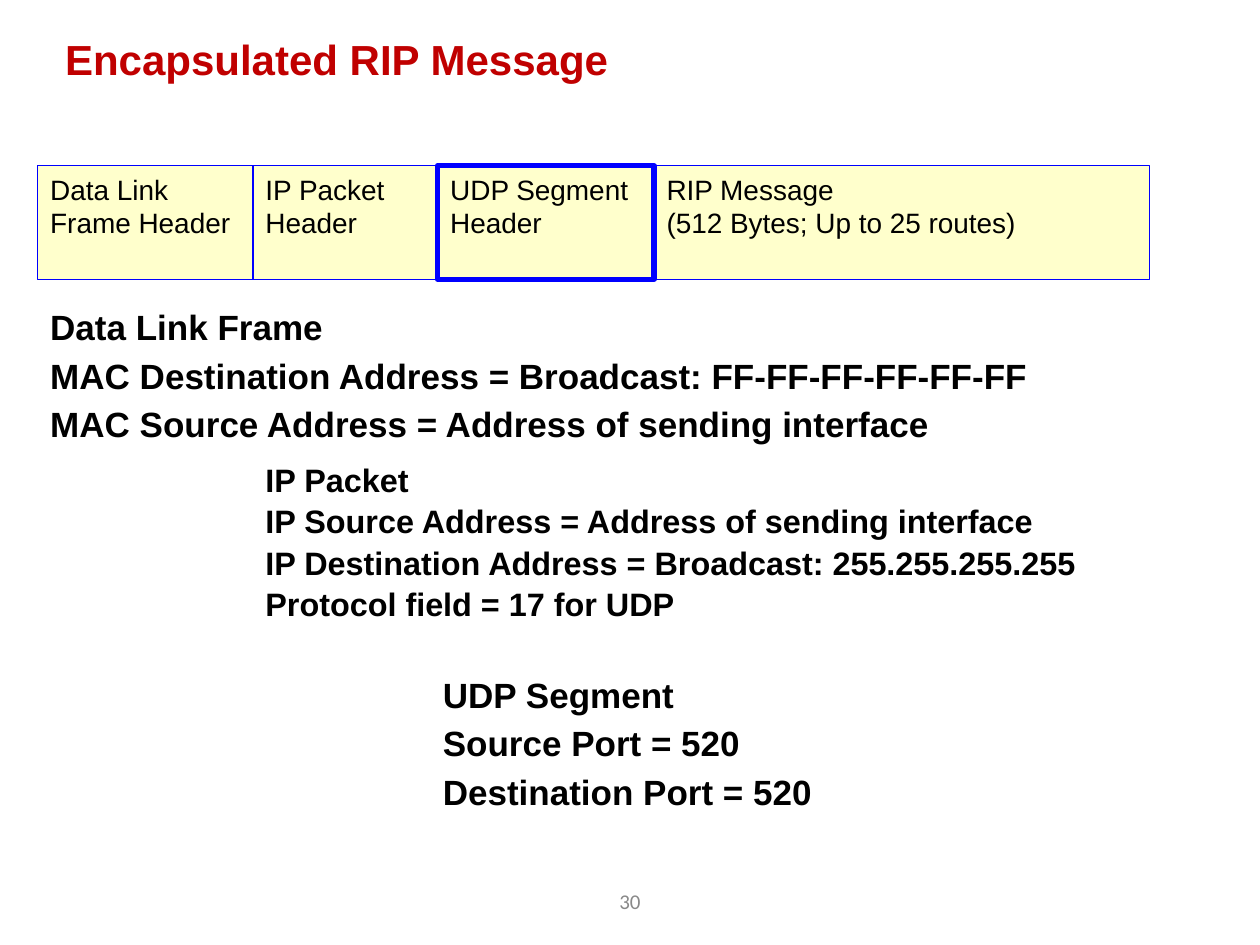
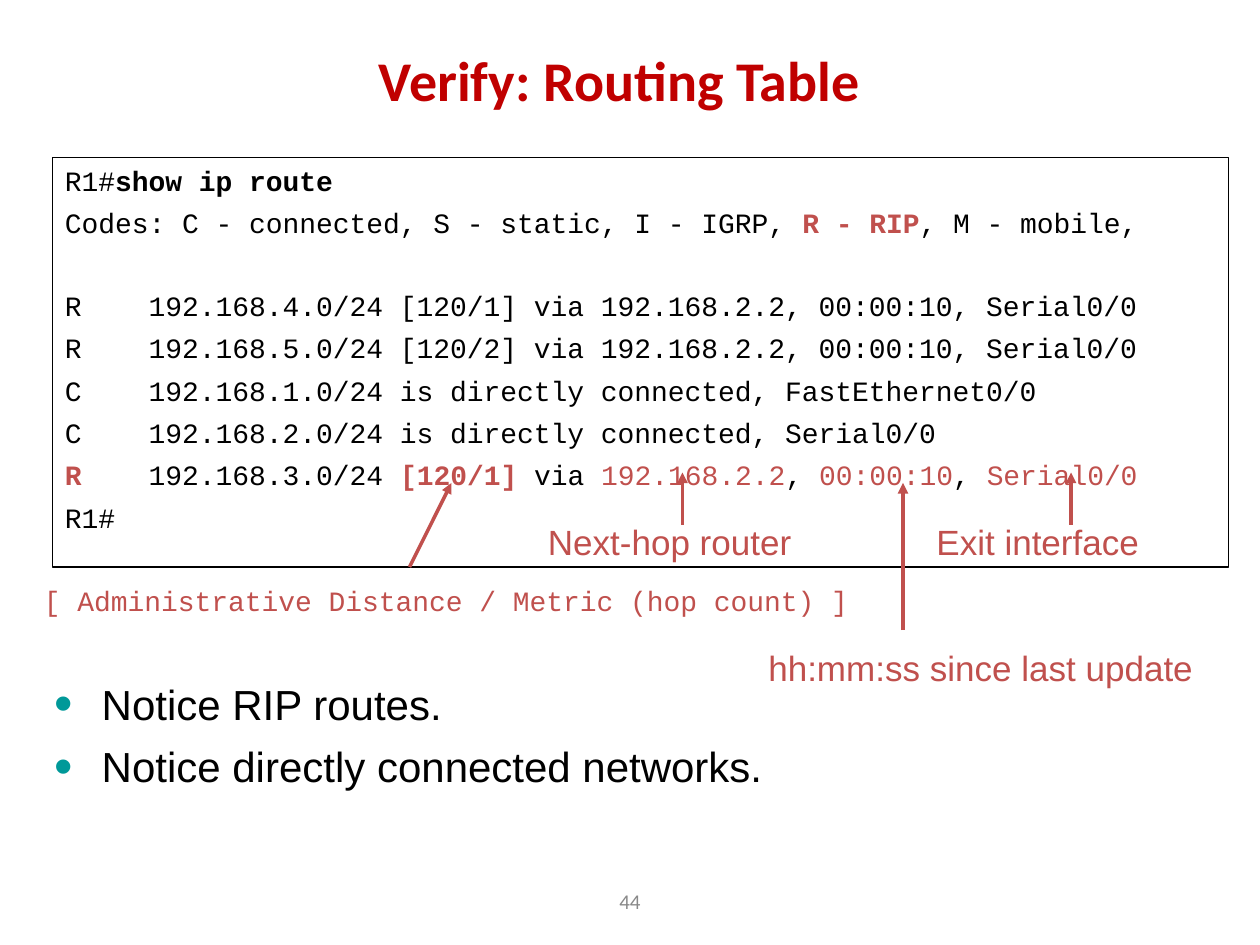
from dataclasses import dataclass, replace

import pptx
import pptx.dml.color
import pptx.enum.shapes
import pptx.enum.text
import pptx.oxml
import pptx.oxml.ns
import pptx.util

PX = 7620
Align = pptx.enum.text.PP_ALIGN
Anchor = pptx.enum.text.MSO_ANCHOR


@dataclass(frozen=True)
class Style:
    font: str
    size: float
    color: str
    bold: bool = False
    align: Align = Align.LEFT
    anchor: Anchor = Anchor.TOP
    leading: float = 1.0
    gap: float = 0
    bullet: str = ""


@dataclass(frozen=True)
class Theme:
    accent: str = "C0504D"
    black: str = "000000"
    field_fill: str = "FFFFCC"
    field_line: str = "0000FF"
    bullet: str = "009999"
    title: Style = Style("Arial", 24, "C00000", bold=True)
    big_title: Style = Style("Calibri", 32, "C00000", bold=True,
                             align=Align.CENTER, anchor=Anchor.MIDDLE)
    number: Style = Style("Calibri", 12, "898989",
                          align=Align.CENTER, anchor=Anchor.MIDDLE)
    field: Style = Style("Arial", 16, black)
    details: Style = Style("Arial", 20, black, bold=True, leading=0.9, gap=6)
    tight: Style = Style("Arial", 18.5, black, bold=True, leading=0.8, gap=6)
    code: Style = Style("Courier New", 16, black, gap=5)
    code_note: Style = Style("Courier New", 16, accent)
    note: Style = Style("Arial", 20, accent)
    bullets: Style = Style("Arial", 24, black, gap=7, bullet="•")


THEME = Theme()


@dataclass(frozen=True)
class Box:
    x: int
    y: int
    w: int
    h: int

    def emu(self) -> tuple[int, ...]:
        return tuple(v * PX for v in (self.x, self.y, self.w, self.h))


@dataclass(frozen=True)
class Span:
    text: str
    color: str | None = None
    bold: bool | None = None


@dataclass(frozen=True)
class Line:
    spans: tuple[Span, ...]
    gap: float | None = None


@dataclass(frozen=True)
class TextBlock:
    box: Box
    style: Style
    lines: tuple[str | Line, ...]


@dataclass(frozen=True)
class Field:
    text: str
    width: int
    line_width: float = 0.75


@dataclass(frozen=True)
class Arrow:
    x1: int
    y1: int
    x2: int
    y2: int


def rgb(color: str) -> pptx.dml.color.RGBColor:
    return pptx.dml.color.RGBColor.from_string(color)


def add_xml(parent, tag: str, **attrs: str):
    el = pptx.oxml.parse_xml(f"<a:{tag} {pptx.oxml.ns.nsdecls('a')}/>")
    for name, value in attrs.items():
        el.set(name, value)
    parent.append(el)
    return el


def add_bullet(p, char: str) -> None:
    pPr = p._p.get_or_add_pPr()
    indent = 45 * PX
    pPr.set("marL", str(indent))
    pPr.set("indent", str(-indent))
    add_xml(add_xml(pPr, "buClr"), "srgbClr", val=THEME.bullet)
    add_xml(pPr, "buSzPct", val="125000")
    add_xml(pPr, "buFont", typeface="Arial")
    add_xml(pPr, "buChar", char=char)


def write_line(p, line: str | Line, style: Style, first: bool) -> None:
    p.alignment = style.align
    p.line_spacing = style.leading
    gap = style.gap
    if isinstance(line, Line) and line.gap is not None:
        gap = line.gap
    p.space_before = pptx.util.Pt(0 if first else gap)
    if style.bullet:
        add_bullet(p, style.bullet)
    p.font.name = style.font
    p.font.size = pptx.util.Pt(style.size)
    p.font.bold = style.bold
    p.font.color.rgb = rgb(style.color)
    if isinstance(line, str):
        p.text = line
        return
    for span in line.spans:
        r = p.add_run()
        r.text = span.text
        if span.bold is not None:
            r.font.bold = span.bold
        if span.color:
            r.font.color.rgb = rgb(span.color)


def write(tf, style: Style, lines: tuple[str | Line, ...]) -> None:
    tf.word_wrap = True
    tf.auto_size = pptx.enum.text.MSO_AUTO_SIZE.NONE
    tf.vertical_anchor = style.anchor
    for i, line in enumerate(lines):
        p = tf.add_paragraph() if i else tf.paragraphs[0]
        write_line(p, line, style, first=i == 0)


def add_text(s, block: TextBlock):
    sp = s.shapes.add_textbox(*block.box.emu())
    write(sp.text_frame, block.style, block.lines)
    return sp


def add_slide(prs, title: str, box: Box, style: Style, number: int):
    s = prs.slides.add_slide(prs.slide_layouts[5])
    sp = s.shapes.title
    sp.left, sp.top, sp.width, sp.height = box.emu()
    write(sp.text_frame, style, (title,))
    add_text(s, TextBlock(Box(410, 834, 380, 48), THEME.number, (str(number),)))
    return s


def add_field(s, field: Field, box: Box) -> None:
    sp = s.shapes.add_shape(pptx.enum.shapes.MSO_SHAPE.RECTANGLE, *box.emu())
    sp.shadow.inherit = False
    sp.fill.solid()
    sp.fill.fore_color.rgb = rgb(THEME.field_fill)
    sp.line.color.rgb = rgb(THEME.field_line)
    sp.line.width = pptx.util.Pt(field.line_width)
    write(sp.text_frame, THEME.field, (field.text,))


def add_fields(s, fields: tuple[Field, ...], x: int) -> None:
    placed = []
    for field in fields:
        placed.append((field, Box(x, 158, field.width, 108)))
        x += field.width
    for field, box in sorted(placed, key=lambda item: item[0].line_width):
        add_field(s, field, box)


def add_arrow(s, arrow: Arrow) -> None:
    ends = (v * PX for v in (arrow.x1, arrow.y1, arrow.x2, arrow.y2))
    cx = s.shapes.add_connector(pptx.enum.shapes.MSO_CONNECTOR.STRAIGHT, *ends)
    cx.line.color.rgb = rgb(THEME.accent)
    cx.line.width = pptx.util.Pt(2)
    add_xml(cx.line._get_or_add_ln(), "tailEnd", type="triangle")
    add_xml(cx._element.spPr, "effectLst")


def accent(text: str, bold: bool | None = None) -> Span:
    return Span(text, THEME.accent, bold)


FIELDS = (
    Field("Data Link Frame Header", 205),
    Field("IP Packet Header", 176),
    Field("UDP Segment Header", 206, line_width=3),
    Field("RIP Message\v(512 Bytes; Up to 25 routes)", 472),
)

HEADER_DETAILS = (
    TextBlock(Box(36, 290, 1004, 158), THEME.details, (
        "Data Link Frame",
        "MAC Destination Address = Broadcast: FF-FF-FF-FF-FF-FF",
        "MAC Source Address = Address of sending interface",
    )),
    TextBlock(Box(241, 439, 910, 162), THEME.tight, (
        "IP Packet",
        "IP Source Address = Address of sending interface",
        "IP Destination Address = Broadcast: 255.255.255.255",
        "Protocol field = 17 for UDP",
    )),
    TextBlock(Box(410, 640, 540, 190), THEME.details, (
        "UDP Segment",
        "Source Port = 520",
        "Destination Port = 520",
    )),
)

ROUTING_TABLE = TextBlock(Box(50, 150, 1120, 390), THEME.code, (
    Line((Span("R1#"), Span("show ip route", bold=True))),
    Line((Span("Codes: C - connected, S - static, I - IGRP, "),
          accent("R - RIP", bold=True), Span(", M - mobile,"))),
    Line((Span("R    192.168.4.0/24 [120/1] via 192.168.2.2, 00:00:10, Serial0/0"),),
         gap=28),
    "R    192.168.5.0/24 [120/2] via 192.168.2.2, 00:00:10, Serial0/0",
    "C    192.168.1.0/24 is directly connected, FastEthernet0/0",
    "C    192.168.2.0/24 is directly connected, Serial0/0",
    Line((accent("R", bold=True), Span("    192.168.3.0/24 "),
          accent("[120/1]", bold=True), Span(" via "), accent("192.168.2.2"),
          Span(", "), accent("00:00:10"), Span(", "), accent("Serial0/0"))),
    "R1#",
))

ROUTE_NOTES = (
    TextBlock(Box(40, 640, 1120, 210), THEME.bullets, (
        "Notice RIP routes.",
        "Notice directly connected networks.",
    )),
    TextBlock(Box(30, 550, 820, 44), THEME.code_note,
              ("[ Administrative Distance / Metric (hop count) ]",)),
    TextBlock(Box(510, 490, 320, 53), THEME.note, ("Next-hop router",)),
    TextBlock(Box(880, 490, 320, 53), THEME.note, ("Exit interface",)),
    TextBlock(Box(720, 610, 480, 53), THEME.note, ("hh:mm:ss since last update",)),
)

ROUTE_ARROWS = (
    Arrow(390, 540, 430, 460),
    Arrow(650, 500, 650, 450),
    Arrow(1020, 500, 1020, 450),
    Arrow(860, 600, 860, 460),
)


def build_message_slide(prs) -> None:
    s = add_slide(prs, "Encapsulated RIP Message", Box(50, 26, 931, 60),
                  THEME.title, 30)
    add_fields(s, FIELDS, x=36)
    for block in HEADER_DETAILS:
        add_text(s, block)


def build_routing_slide(prs) -> None:
    s = add_slide(prs, "Verify: Routing Table", Box(50, 0, 1080, 150),
                  THEME.big_title, 44)
    sp = add_text(s, ROUTING_TABLE)
    sp.line.color.rgb = rgb(THEME.black)
    sp.line.width = pptx.util.Pt(0.75)
    for block in ROUTE_NOTES:
        add_text(s, block)
    for arrow in ROUTE_ARROWS:
        add_arrow(s, arrow)


def main() -> None:
    prs = pptx.Presentation()
    prs.slide_width, prs.slide_height = 1200 * PX, 900 * PX
    build_message_slide(prs)
    build_routing_slide(prs)
    prs.save("out.pptx")


if __name__ == "__main__":
    main()
